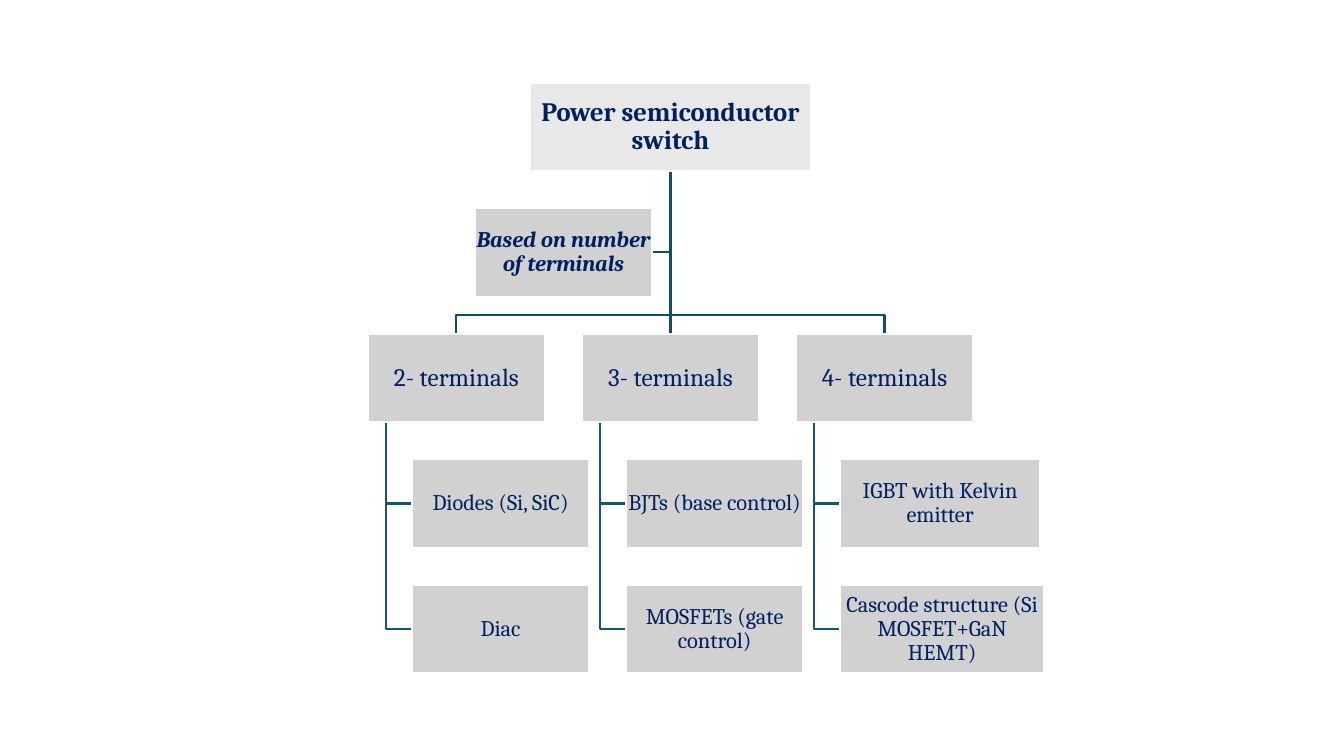
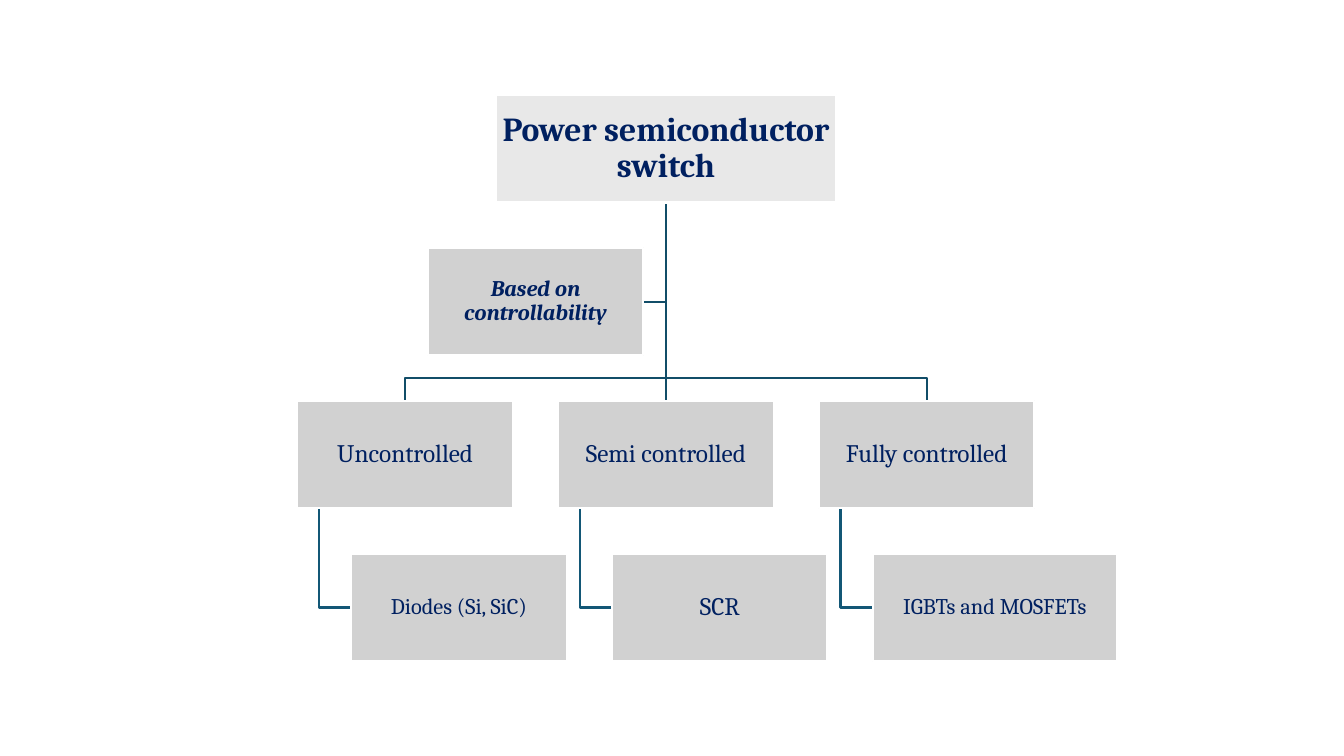
from pptx import Presentation
from pptx.dml.color import RGBColor
from pptx.enum.shapes import MSO_CONNECTOR, MSO_SHAPE
from pptx.enum.text import MSO_ANCHOR, PP_ALIGN
from pptx.oxml.ns import qn
from pptx.util import Pt
from lxml import etree

RECT = MSO_SHAPE.RECTANGLE
STRAIGHT = MSO_CONNECTOR.STRAIGHT
MIDDLE = MSO_ANCHOR.MIDDLE
CENTER = PP_ALIGN.CENTER
BOTTOM, RIGHT, TOP = 2, 3, 0

SCALE = 9144  # 100 px to the inch
FONT = "Cambria"
INK, WHITE = "002060", "FFFFFF"
PALE, GREY = "E8E8E8", "D1D1D1"
TRUNK, TWIG = "114D68", "135776"
GAP = 0.21  # space between boxes, as a share of box width


def emu(px):
    return round(px * SCALE)


def color(code):
    return RGBColor.from_string(code)


def outline(shape, code):
    shape.line.color.rgb = color(code)
    shape.line.width = Pt(1.5)


def link(slide, x1, y1, x2, y2):
    line = slide.shapes.add_connector(
        STRAIGHT, emu(x1), emu(y1), emu(x2), emu(y2))
    outline(line, TRUNK)
    props = line._element.find(qn("p:spPr"))
    etree.SubElement(props, qn("a:effectLst"))
    return line


def route(slide, points, code):
    """Draw an open line with square bends."""
    spots = [(emu(x), emu(y)) for x, y in points]
    form = slide.shapes.build_freeform(*spots[0], scale=1.0)
    form.add_line_segments(spots[1:], close=False)
    shape = form.convert_to_shape()
    shape.fill.background()
    shape.shadow.inherit = False
    outline(shape, code)


def box(slide, x, y, w, h, text, size, fill=GREY, bold=False, italic=False):
    shape = slide.shapes.add_shape(RECT, emu(x), emu(y), emu(w), emu(h))
    shape.shadow.inherit = False
    shape.fill.solid()
    shape.fill.fore_color.rgb = color(fill)
    outline(shape, WHITE)
    frame = shape.text_frame
    frame.word_wrap = True
    frame.vertical_anchor = MIDDLE
    frame.margin_left = frame.margin_right = emu(1)
    frame.margin_top = frame.margin_bottom = emu(1)
    frame.text = text
    para = frame.paragraphs[0]
    para.alignment = CENTER
    para.line_spacing = 0.9
    font = para.runs[0].font
    font.name, font.size = FONT, Pt(size)
    font.bold, font.italic = bold, italic
    font.color.rgb = color(INK)
    return shape


def tree(slide, left, top, width, root, aside, groups):
    """Lay out a chart of three groups across the given width."""
    unit = width / (3 + 2 * GAP)
    high, gap = unit / 2, unit * GAP
    step, row = unit + gap, high + gap
    mid = left + width / 2
    base = top + high
    heads = top + 2 * row
    bus = heads - gap / 2
    note = top + row

    # Lines, behind the boxes
    trunk = link(slide, mid, base, mid, heads)
    edge = mid - gap / 2
    stub = link(slide, edge, note + high / 2, mid, note + high / 2)
    for x in (left + unit / 2, left + width - unit / 2):
        route(slide, [(mid, base), (mid, bus), (x, bus), (x, heads)], TRUNK)
    for col, (_, kids) in enumerate(groups):
        x = left + col * step
        stem = x + unit / 10
        for num in range(len(kids)):
            y = heads + (num + 1) * row + high / 2
            route(slide, [(stem, heads + high), (stem, y), (x + unit / 4, y)],
                  TWIG)

    # Root and basis of the split
    text, size, wide = root
    crown = box(slide, mid - wide / 2, top, wide, high, text, size, PALE,
                bold=True)
    basis = box(slide, edge - unit, note, unit, high, aside, 16,
                bold=True, italic=True)
    stub.begin_connect(basis, RIGHT)

    # Groups and their members
    for col, (name, kids) in enumerate(groups):
        x = left + col * step
        head = box(slide, x, heads, unit, high, name, 18)
        if col == 1:
            trunk.begin_connect(crown, BOTTOM)
            trunk.end_connect(head, TOP)
        for num, (text, size, wide) in enumerate(kids, 1):
            box(slide, x + unit / 4, heads + num * row, wide or unit, high,
                text, size)


# Each member: text, size, own width (None for the usual one)
TERMS = [
    ("2- terminals", [("Diodes (Si, SiC)", 16, None), ("Diac", 16, None)]),
    ("3- terminals", [("BJTs (base control)", 16, None),
                      ("MOSFETs (gate control)", 16, None)]),
    ("4- terminals", [("IGBT with Kelvin emitter", 16, 198),
                      ("Cascode structure (Si MOSFET+GaN HEMT)", 16, 202)]),
]
MODES = [
    ("Uncontrolled", [("Diodes (Si, SiC)", 16, None)]),
    ("Semi controlled", [("SCR", 18, None)]),
    ("Fully controlled", [("IGBTs and MOSFETs", 16, 242)]),
]
TITLE = "Power semiconductor switch"


def main():
    deck = Presentation()
    deck.slide_width, deck.slide_height = emu(1333), emu(750)
    blank = deck.slide_layouts[6]
    tree(deck.slides.add_slide(blank), 365, 82, 600, (TITLE, 19, 278),
         "Based on number of terminals", TERMS)
    tree(deck.slides.add_slide(blank), 295, 94, 731, (TITLE, 24, 338),
         "Based on controllability", MODES)
    deck.save("out.pptx")


if __name__ == "__main__":
    main()
